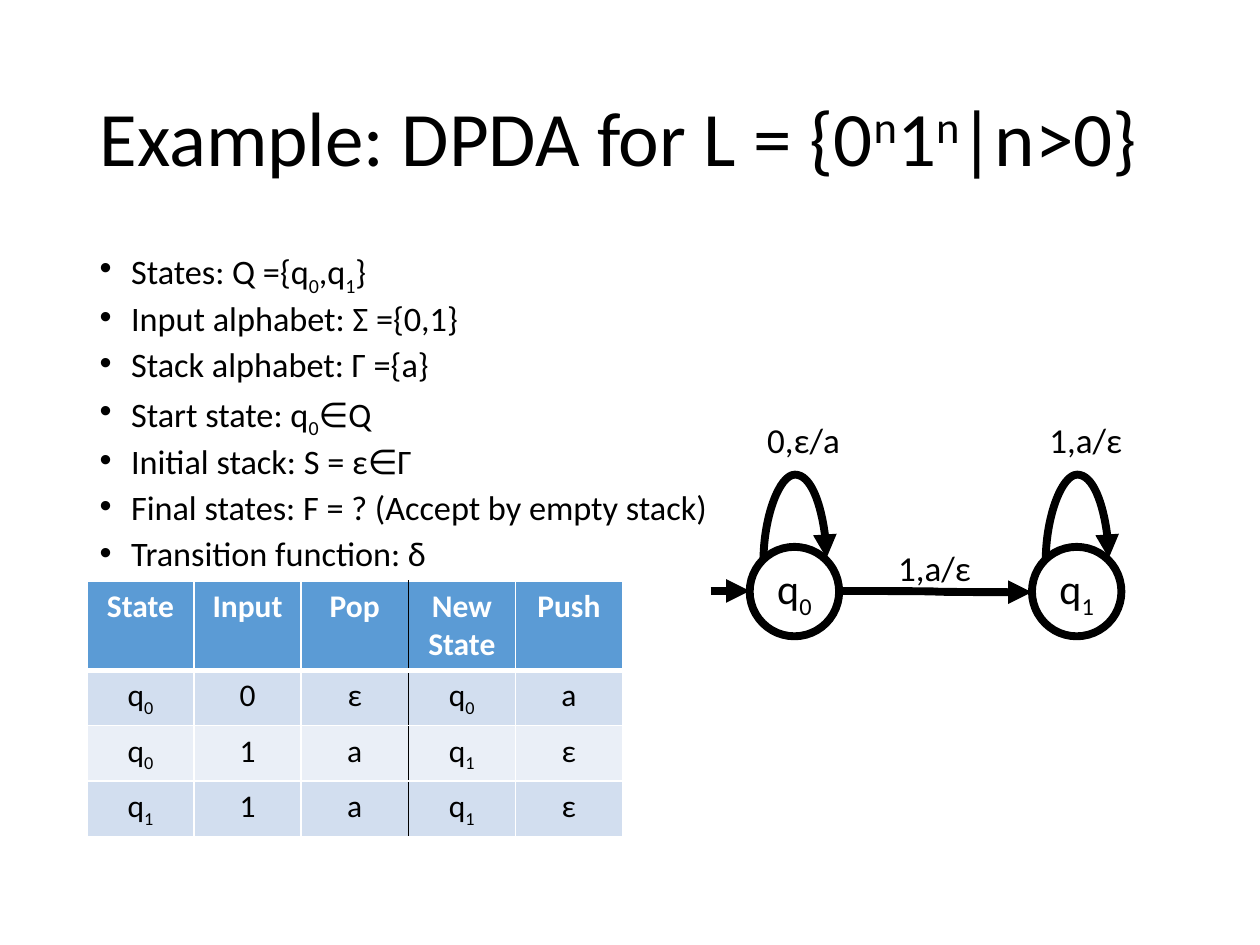
from lxml import etree
from pptx import Presentation
from pptx.dml.color import RGBColor
from pptx.enum.shapes import MSO_CONNECTOR, MSO_SHAPE
from pptx.enum.text import MSO_ANCHOR, MSO_AUTO_SIZE, PP_ALIGN
from pptx.oxml.ns import qn
from pptx.util import Inches, Pt

STRAIGHT, CURVE = MSO_CONNECTOR.STRAIGHT, MSO_CONNECTOR.CURVE
LEFT, CENTER = PP_ALIGN.LEFT, PP_ALIGN.CENTER
MIDDLE = MSO_ANCHOR.MIDDLE
NO_FIT = MSO_AUTO_SIZE.NONE

BLACK = RGBColor(0x00, 0x00, 0x00)
WHITE = RGBColor(0xFF, 0xFF, 0xFF)
HEADER_BLUE = RGBColor(0x5B, 0x9B, 0xD5)
BANDS = [RGBColor(0xD2, 0xDE, 0xEF), RGBColor(0xEA, 0xEF, 0xF7)]
FONT = "Calibri"
STROKE = Pt(4.5)

# In all wording, _ lowers and ^ raises the character that follows.
BASELINES = {"_": "-25000", "^": "30000"}
TITLE = "Example: DPDA for L = {0^n1^n|n>0}"
DEFINITION = [
    "States: Q ={q_0,q_1}",
    "Input alphabet: Σ ={0,1}",
    "Stack alphabet: Γ ={a}",
    "Start state: q_0∈Q",
    "Initial stack: S = ε∈Γ",
    "Final states: F = ? (Accept by empty stack)",
    "Transition function: δ",
]
TRANSITIONS = [
    ["State", "Input", "Pop", "New State", "Push"],
    ["q_0", "0", "ε", "q_0", "a"],
    ["q_0", "1", "a", "q_1", "ε"],
    ["q_1", "1", "a", "q_1", "ε"],
]
FIRST_RESULT_COLUMN = 3
STATES = [("q_0", 5.95), ("q_1", 8.19)]
STATE_TOP, STATE_SIZE = 4.34, 0.71
AXIS = 4.69
ARROWS = [
    (STRAIGHT, (5.64, AXIS), (5.95, AXIS)),
    (CURVE, (6.66, AXIS), (8.19, 4.7)),
]
LABELS = [("0,ε/a", 5.99, 3.27), ("1,a/ε", 8.23, 3.27), ("1,a/ε", 7.03, 4.29)]
LOOP_INSET, LOOP_SPAN, LOOP_HEIGHT = 0.11, 0.5, 0.68
LOOP_START, LOOP_DROP = 4.45, 0.02


def place(shape, left, top, width, height):
    shape.left, shape.top = Inches(left), Inches(top)
    shape.width, shape.height = Inches(width), Inches(height)


def write(para, wording, size, color=BLACK, bold=False, align=LEFT):
    para.alignment = align
    pieces = [["", None]]
    letters = iter(wording)
    for letter in letters:
        if letter in BASELINES:
            pieces += [[next(letters), BASELINES[letter]], ["", None]]
        else:
            pieces[-1][0] += letter
    look = {"name": FONT, "size": Pt(size), "bold": bold}
    for text, baseline in pieces:
        if not text:
            continue
        span = para.add_run()
        span.text = text
        for name, value in look.items():
            setattr(span.font, name, value)
        span.font.color.rgb = color
        if baseline:
            span.font._element.set("baseline", baseline)


def add_arrow(page, kind, start, end):
    arrow = page.shapes.add_connector(kind, *map(Inches, start + end))
    arrow.line.color.rgb = BLACK
    arrow.line.width = STROKE
    etree.SubElement(arrow.line._get_or_add_ln(), qn("a:tailEnd"), type="triangle")
    etree.SubElement(arrow._element.spPr, qn("a:effectLst"))
    return arrow


def add_loop(page, state_left):
    """Curved arrow turned a quarter so that it arches above its state."""
    middle_x = state_left + LOOP_INSET + LOOP_SPAN / 2
    middle_y = LOOP_START - LOOP_DROP / 2
    left, top = middle_x - LOOP_DROP / 2, middle_y - LOOP_SPAN / 2
    loop = add_arrow(page, CURVE, (left, top), (left + LOOP_DROP, top + LOOP_SPAN))
    properties = loop._element.spPr
    frame = properties.find(qn("a:xfrm"))
    for name, value in {"rot": "5400000", "flipH": "1", "flipV": "1"}.items():
        frame.set(name, value)
    geometry = properties.find(qn("a:prstGeom"))
    guides = geometry.find(qn("a:avLst"))
    if guides is None:
        guides = etree.SubElement(geometry, qn("a:avLst"))
    bend = round(LOOP_HEIGHT / LOOP_DROP * 100000)
    etree.SubElement(guides, qn("a:gd"), name="adj1", fmla=f"val {bend}")


def add_border(cell, side, color, points):
    border = etree.SubElement(
        cell._tc.get_or_add_tcPr(), qn(f"a:ln{side}"), w=str(Pt(points)))
    fill = etree.SubElement(border, qn("a:solidFill"))
    etree.SubElement(fill, qn("a:srgbClr"), val=str(color))


def fill_definition(body):
    place(body, 0.69, 2, 5.26, 2.61)
    frame = body.text_frame
    frame.auto_size = NO_FIT
    for index, wording in enumerate(DEFINITION):
        para = frame.add_paragraph() if index else frame.paragraphs[0]
        para.line_spacing = 0.7
        para.space_before = Pt(10)
        write(para, wording, 19.6)
        layout = para._p.get_or_add_pPr()
        layout.set("marL", str(Inches(0.25)))
        layout.set("indent", str(Inches(-0.25)))
        etree.SubElement(layout, qn("a:buFont"), typeface="Arial")
        etree.SubElement(layout, qn("a:buChar"), char="•")


def add_transition_table(page):
    rows, columns = len(TRANSITIONS), len(TRANSITIONS[0])
    table = page.shapes.add_table(
        rows, columns, Inches(0.69), Inches(4.61),
        Inches(0.85 * columns), Inches(0.41 * rows)).table
    for row, wordings in enumerate(TRANSITIONS):
        header = row == 0
        for column, wording in enumerate(wordings):
            cell = table.cell(row, column)
            write(cell.text_frame.paragraphs[0], wording, 18,
                  WHITE if header else BLACK, header, CENTER)
            borders = {
                "L": (BLACK if column == FIRST_RESULT_COLUMN else WHITE, 1),
                "R": (BLACK if column == FIRST_RESULT_COLUMN - 1 else WHITE, 1),
                "T": (WHITE, 3 if row == 1 else 1),
                "B": (WHITE, 3 if header else 1),
            }
            for side, (color, points) in borders.items():
                add_border(cell, side, color, points)
            cell.fill.solid()
            cell.fill.fore_color.rgb = HEADER_BLUE if header else BANDS[(row - 1) % 2]


def add_state(page, name, left):
    state = page.shapes.add_shape(
        MSO_SHAPE.OVAL, Inches(left), Inches(STATE_TOP),
        Inches(STATE_SIZE), Inches(STATE_SIZE))
    state.shadow.inherit = False
    state.fill.background()
    state.line.color.rgb = BLACK
    state.line.width = STROKE
    state.text_frame.word_wrap = False
    state.text_frame.vertical_anchor = MIDDLE
    write(state.text_frame.paragraphs[0], name, 24, align=CENTER)


def main():
    deck = Presentation()
    deck.slide_width, deck.slide_height = Inches(10), Inches(7.5)
    page = deck.slides.add_slide(deck.slide_layouts[1])

    title = page.shapes.title
    place(title, 0.69, 0.4, 8.62, 1.45)
    title.text_frame.auto_size = NO_FIT
    title.text_frame.vertical_anchor = MIDDLE
    heading = title.text_frame.paragraphs[0]
    heading.line_spacing = 0.9
    write(heading, TITLE, 44)

    fill_definition(page.placeholders[1])
    add_transition_table(page)
    for name, left in STATES:
        add_state(page, name, left)
        add_loop(page, left)
    for kind, start, end in ARROWS:
        add_arrow(page, kind, start, end)
    for wording, left, top in LABELS:
        box = page.shapes.add_textbox(
            Inches(left), Inches(top), Inches(0.79), Inches(0.44))
        box.text_frame.word_wrap = False
        write(box.text_frame.paragraphs[0], wording, 20)
    deck.save("out.pptx")


if __name__ == "__main__":
    main()
